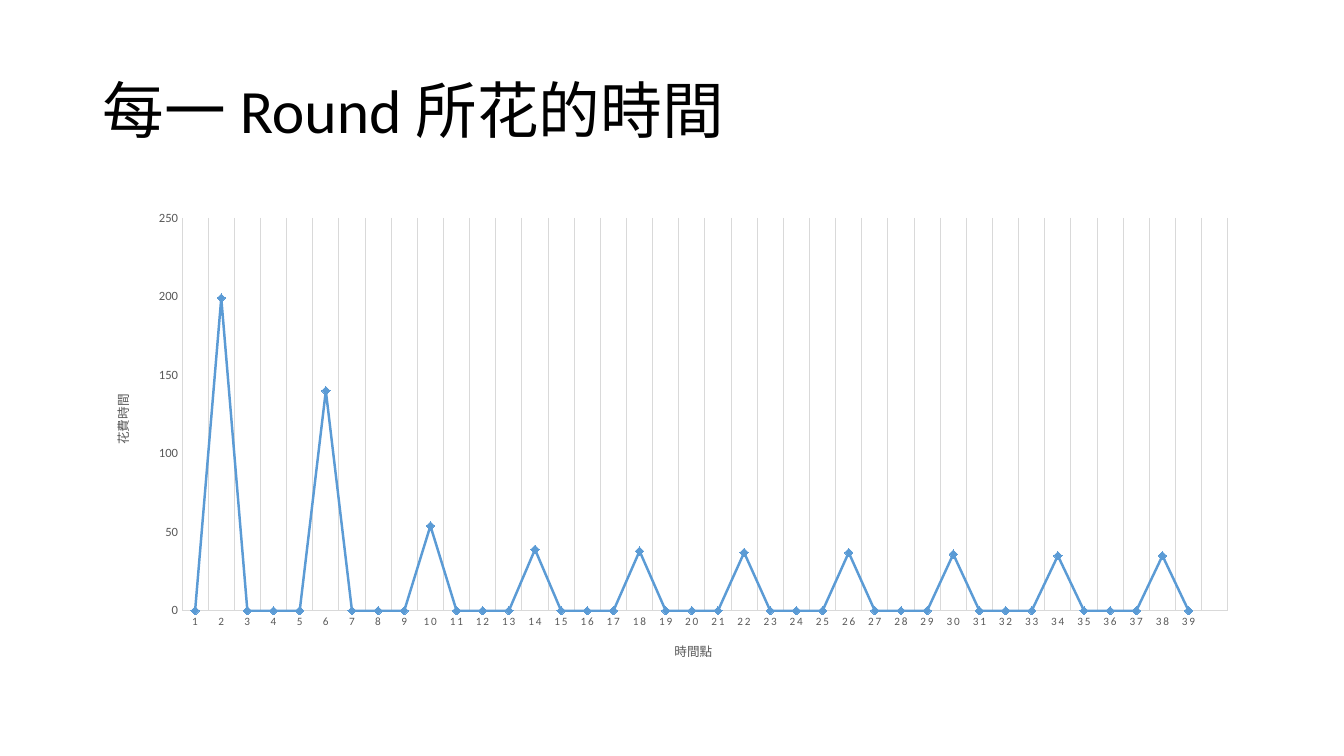
import pptx
import pptx.chart.data
import pptx.dml.color
import pptx.enum.chart
import pptx.enum.text
import pptx.oxml
import pptx.oxml.ns
import pptx.util

TITLE = "每一 Round 所花的時間"
TIME_POINT_TITLE = "時間點"
TIME_SPENT_TITLE = "花費時間"
# Every fourth time point, from the second on, carries one round's time.
ROUND_TIMES = [199, 140, 54, 39, 38, 37, 37, 36, 35, 35]
POINTS_PER_ROUND = 4
COLORS = {"title": "000000", "label": "595959", "rule": "D9D9D9", "series": "5B9BD5"}
FONT = "Calibri"
SLIDE_W, SLIDE_H = 13.33, 7.5
LEFT, CONTENT_W = 0.92, 11.5
PLOT_SHARES = {"x": 0.077, "y": 0.034, "w": 0.902, "h": 0.819}

Inches, Pt = pptx.util.Inches, pptx.util.Pt


def rgb(name):
    return pptx.dml.color.RGBColor.from_string(COLORS[name])


def style_font(font, size, color):
    font.name = FONT
    font.size = Pt(size)
    font.bold = False
    font.color.rgb = rgb(color)


def style_line(line, color, width):
    line.color.rgb = rgb(color)
    line.width = Pt(width)


def style_axis(axis, title, size):
    axis.major_tick_mark = axis.minor_tick_mark = pptx.enum.chart.XL_TICK_MARK.NONE
    style_line(axis.format.line, "rule", 0.75)
    style_font(axis.tick_labels.font, size, "label")
    axis.axis_title.text_frame.text = title
    style_font(axis.axis_title.text_frame.paragraphs[0].runs[0].font, 9, "label")


def fix_plot_area(chart):
    """Pin the inner plot area to its shares of the chart frame."""
    modes = '<c:xMode val="edge"/><c:yMode val="edge"/>'
    shares = "".join(f'<c:{key} val="{share}"/>' for key, share in PLOT_SHARES.items())
    layout = pptx.oxml.parse_xml(
        f'<c:layout {pptx.oxml.ns.nsdecls("c")}><c:manualLayout>'
        f'<c:layoutTarget val="inner"/>{modes}{shares}</c:manualLayout></c:layout>'
    )
    plot_area = chart._chartSpace.chart.plotArea
    for old in plot_area.findall(pptx.oxml.ns.qn("c:layout")):
        plot_area.remove(old)
    plot_area.insert(0, layout)


def add_title(slide):
    title = slide.shapes.add_textbox(Inches(LEFT), Inches(0.4), Inches(CONTENT_W), Inches(1.45))
    frame = title.text_frame
    frame.word_wrap = True
    frame.vertical_anchor = pptx.enum.text.MSO_ANCHOR.MIDDLE
    frame.text = TITLE
    frame.paragraphs[0].line_spacing = 0.9
    style_font(frame.paragraphs[0].runs[0].font, 44, "title")


def add_round_chart(slide):
    point_count = len(ROUND_TIMES) * POINTS_PER_ROUND
    times = [0] * point_count
    times[1::POINTS_PER_ROUND] = ROUND_TIMES
    times[-1] = None
    data = pptx.chart.data.CategoryChartData()
    # The last slot is empty and has no label.
    data.categories = [str(point) for point in range(1, point_count)] + [""]
    data.add_series(TIME_SPENT_TITLE, times)

    chart = slide.shapes.add_chart(
        pptx.enum.chart.XL_CHART_TYPE.LINE_MARKERS,
        Inches(LEFT), Inches(2), Inches(CONTENT_W), Inches(4.76), data,
    ).chart
    chart.has_legend = False
    chart.has_title = False
    style_font(chart.font, 10, "title")
    chart.plots[0].vary_by_categories = False
    fix_plot_area(chart)

    time_points, time_spent = chart.category_axis, chart.value_axis
    style_axis(time_points, TIME_POINT_TITLE, 8)
    style_axis(time_spent, TIME_SPENT_TITLE, 9)
    time_points.has_major_gridlines = True
    style_line(time_points.major_gridlines.format.line, "rule", 0.75)
    letter_spaced = time_points._element.find(
        f'{pptx.oxml.ns.qn("c:txPr")}//{pptx.oxml.ns.qn("a:defRPr")}')
    letter_spaced.set("spc", "120")
    time_spent.has_major_gridlines = False
    time_spent.minimum_scale, time_spent.maximum_scale = 0, 250
    time_spent.major_unit = 50

    rounds = chart.plots[0].series[0]
    rounds.smooth = False
    style_line(rounds.format.line, "series", 1.75)
    rounds.marker.style = pptx.enum.chart.XL_MARKER_STYLE.DIAMOND
    rounds.marker.size = 6
    rounds.marker.format.fill.solid()
    rounds.marker.format.fill.fore_color.rgb = rgb("series")
    style_line(rounds.marker.format.line, "series", 0.75)


def main():
    deck = pptx.Presentation()
    deck.slide_width, deck.slide_height = Inches(SLIDE_W), Inches(SLIDE_H)
    slide = deck.slides.add_slide(deck.slide_layouts[6])
    add_title(slide)
    add_round_chart(slide)
    deck.save("out.pptx")


if __name__ == "__main__":
    main()
